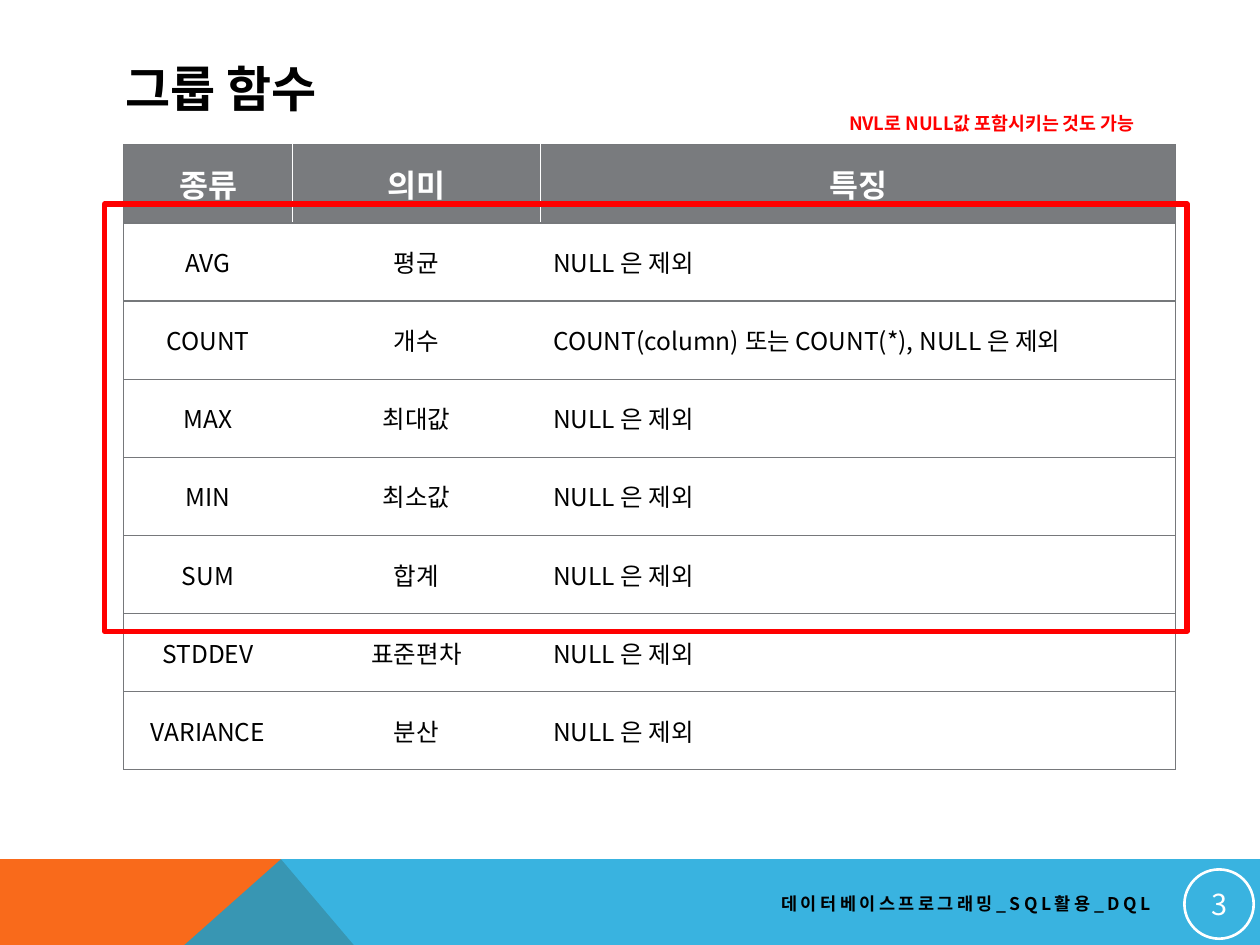
"""Build the slide on SQL group functions."""
from lxml import etree
from pptx import Presentation
from pptx.dml.color import RGBColor
from pptx.enum.shapes import MSO_SHAPE
from pptx.enum.text import MSO_ANCHOR, PP_ALIGN
from pptx.oxml.ns import qn
from pptx.util import Pt

FONT = "Noto Sans CJK KR"
BORDER = "76787B"


def color(value):
    return RGBColor.from_string(value)


def write(frame, text, size, shade, bold=False, align=PP_ALIGN.LEFT):
    frame.text = text
    frame.word_wrap = True
    para = frame.paragraphs[0]
    para.alignment = align
    span = para.runs[0]
    span.font.size = Pt(size)
    span.font.bold = bold
    span.font.name = FONT
    span.font.color.rgb = color(shade)
    properties = span.font._element
    etree.SubElement(properties, qn("a:ea"), typeface=FONT)
    return properties


deck = Presentation()
deck.slide_width, deck.slide_height = Pt(720), Pt(540)
page = deck.slides.add_slide(deck.slide_layouts[6])

bands = [
    ([(0, 633.6), (0, 491), (160.6, 491), (281.5, 633.6)], "F96A1B", None),
    ([(0, 633.6), (160.6, 491), (720, 491), (720, 633.6)], "08A1D9", "80000"),
]
for points, fill, alpha in bands:
    corners = [(Pt(x), Pt(y)) for x, y in points]
    builder = page.shapes.build_freeform(*corners[0])
    builder.add_line_segments(corners[1:], close=True)
    band = builder.convert_to_shape()
    band.shadow.inherit = False
    band.fill.solid()
    band.fill.fore_color.rgb = color(fill)
    band.line.fill.background()
    if alpha:
        tint = band._element.spPr.find(qn("a:solidFill"))[0]
        etree.SubElement(tint, qn("a:alpha"), val=alpha)

title = page.shapes.add_textbox(Pt(64.8), Pt(28.8), Pt(591.8), Pt(43.2))
title.text_frame.vertical_anchor = MSO_ANCHOR.MIDDLE
write(title.text_frame, "그룹 함수", 28, "000000", True)

footer = page.shapes.add_textbox(Pt(292.3), Pt(505.4), Pt(372.2), Pt(21.6))
footer.text_frame.vertical_anchor = MSO_ANCHOR.MIDDLE
footer_font = write(footer.text_frame, "데이터베이스프로그래밍_SQL활용_DQL", 10,
                    "000000", True, PP_ALIGN.RIGHT)
footer_font.set("spc", "200")

badge = page.shapes.add_shape(MSO_SHAPE.OVAL, Pt(676.8), Pt(496.8), Pt(39.6), Pt(39.6))
badge.shadow.inherit = False
badge.fill.background()
badge.line.color.rgb = color("FFFFFF")
badge.line.width = Pt(1.5)
number = badge.text_frame
number.margin_left = number.margin_right = Pt(0.72)
number.margin_top = number.margin_bottom = Pt(0.72)
number.vertical_anchor = MSO_ANCHOR.MIDDLE
write(number, "3", 16.5, "FFFFFF", align=PP_ALIGN.CENTER)

EXCLUDED = "NULL 은 제외"
rows = [
    ("종류", "의미", "특징"),
    ("AVG", "평균", EXCLUDED),
    ("COUNT", "개수", "COUNT(column) 또는 COUNT(*), NULL 은 제외"),
    ("MAX", "최대값", EXCLUDED),
    ("MIN", "최소값", EXCLUDED),
    ("SUM", "합계", EXCLUDED),
    ("STDDEV", "표준편차", EXCLUDED),
    ("VARIANCE", "분산", EXCLUDED),
]
widths = [96.5, 141.8, 362.9]
table = page.shapes.add_table(len(rows), len(widths), Pt(70.6), Pt(82.8),
                              Pt(sum(widths)), Pt(44.64 * len(rows))).table
for column, width in zip(table.columns, widths):
    column.width = Pt(width)
for row_index, texts in enumerate(rows):
    table.rows[row_index].height = Pt(44.64)
    header = row_index == 0
    for column_index, text in enumerate(texts):
        cell = table.cell(row_index, column_index)
        cell.vertical_anchor = MSO_ANCHOR.MIDDLE
        last = column_index == len(widths) - 1
        align = PP_ALIGN.LEFT if last and not header else PP_ALIGN.CENTER
        write(cell.text_frame, text, 18 if header else 14,
              "FFFFFF" if header else "000000", header, align)
        sides = ["lnL"] * (column_index == 0) + ["lnR"] * last + ["lnT", "lnB"]
        for side in sides:
            edge = etree.SubElement(cell._tc.get_or_add_tcPr(), qn("a:" + side), w=str(Pt(0.75)))
            paint = etree.SubElement(edge, qn("a:solidFill"))
            etree.SubElement(paint, qn("a:srgbClr"), val=BORDER)
        if header:
            cell.fill.solid()
            cell.fill.fore_color.rgb = color("797B7E")
        else:
            cell.fill.background()

highlight = page.shapes.add_shape(MSO_SHAPE.RECTANGLE, Pt(59.8), Pt(116.6), Pt(618.5), Pt(244.1))
highlight.shadow.inherit = False
highlight.fill.background()
highlight.line.color.rgb = color("FF0000")
highlight.line.width = Pt(3)

hint = page.shapes.add_textbox(Pt(478.1), Pt(60.5), Pt(206.6), Pt(20.9))
write(hint.text_frame, "NVL로 NULL값 포함시키는 것도 가능", 10.5, "FF0000", True)

deck.save("out.pptx")
